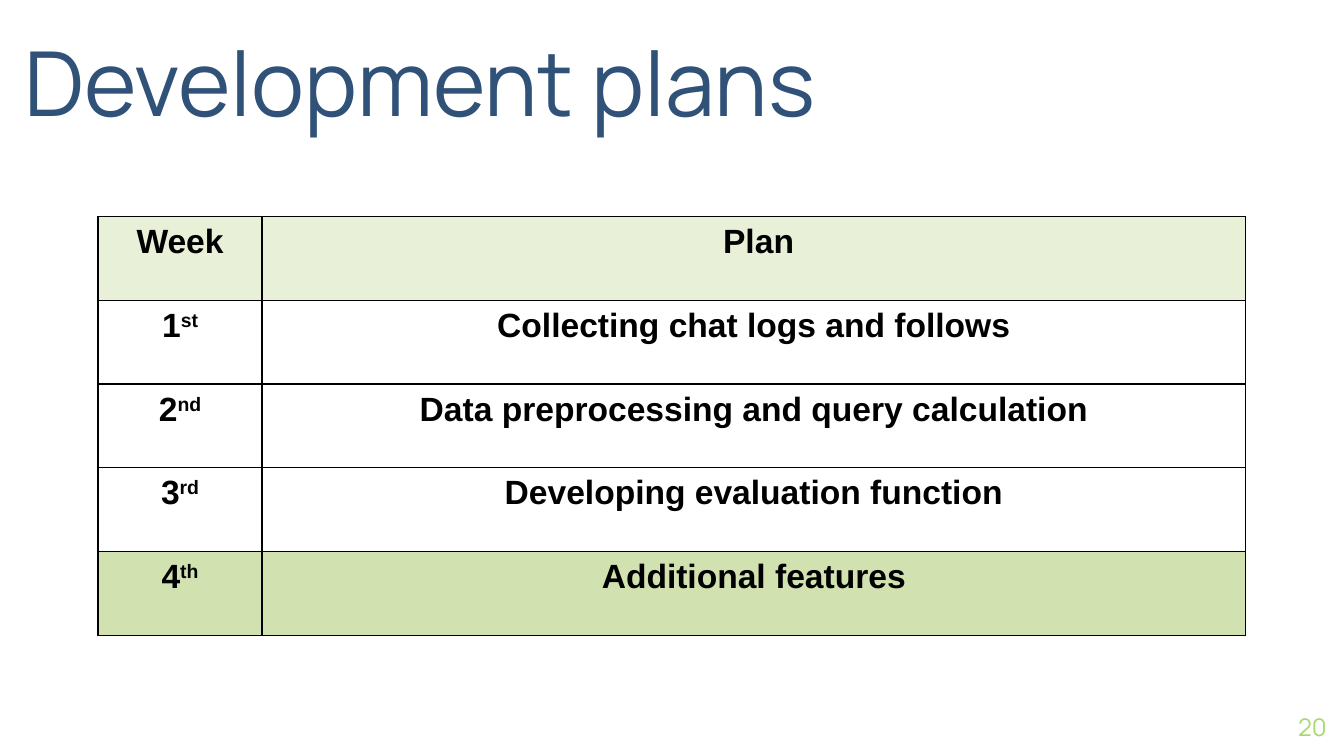
from lxml.etree import SubElement
from pptx import Presentation
from pptx.dml.color import RGBColor
from pptx.enum.text import MSO_ANCHOR as Anchor, PP_ALIGN as Align
from pptx.oxml.ns import qn
from pptx.util import Inches, Pt

BLACK = RGBColor(0, 0, 0)
WHITE = RGBColor(0xFF, 0xFF, 0xFF)
NAVY = RGBColor(0x30, 0x51, 0x78)
LIME = RGBColor(0xA7, 0xD8, 0x6D)
PALE_GREEN = RGBColor(0xE8, 0xF0, 0xD8)
SOFT_GREEN = RGBColor(0xD2, 0xE1, 0xB0)

PLANS = [
    ("Week", "", " Plan", PALE_GREEN),
    ("1", "st", "Collecting chat logs and follows", WHITE),
    ("2", "nd", "Data preprocessing and query calculation", WHITE),
    ("3", "rd", "Developing evaluation function", WHITE),
    ("4", "th", "Additional features", SOFT_GREEN),
]


def style_para(para, name, size, color, align, bold=False):
    """Set the alignment and font of a paragraph."""
    para.alignment = align
    para.font.name = name
    para.font.size = Pt(size)
    para.font.color.rgb = color
    para.font.bold = bold


def add_label(page, box, text, size, color, align, anchor):
    """Add a one-line text box without margins."""
    frame = page.shapes.add_textbox(*map(Inches, box)).text_frame
    frame.word_wrap = True
    frame.vertical_anchor = anchor
    frame.margin_left = frame.margin_right = 0
    frame.margin_top = frame.margin_bottom = 0
    para = frame.paragraphs[0]
    para.add_run().text = text
    style_para(para, "Manrope", size, color, align)


def add_borders(cell):
    """Draw a thin black line on each side of a cell."""
    props = cell._tc.get_or_add_tcPr()
    for index, side in enumerate(("lnL", "lnR", "lnT", "lnB")):
        line = props.makeelement(qn(f"a:{side}"), {"w": str(Pt(0.75))})
        fill = SubElement(line, qn("a:solidFill"))
        SubElement(fill, qn("a:srgbClr"), val=str(BLACK))
        props.insert(index, line)


def fill_cell(cell, text, suffix, color):
    """Write bold centred text with an optional raised suffix."""
    cell.fill.solid()
    cell.fill.fore_color.rgb = color
    add_borders(cell)
    para = cell.text_frame.paragraphs[0]
    para.add_run().text = text
    if suffix:
        span = para.add_run()
        span.text = suffix
        span._r.get_or_add_rPr().set("baseline", "30000")
    style_para(para, "Arial", 18, BLACK, Align.CENTER, bold=True)


def add_plan_table(page, box):
    """Add the table of weeks and plans."""
    left, top, width, height = map(Inches, box)
    table = page.shapes.add_table(len(PLANS), 2, left, top, width, height).table
    week_width = Inches(1.22)
    table.columns[0].width = week_width
    table.columns[1].width = width - week_width
    for row, (week, suffix, plan, color) in enumerate(PLANS):
        fill_cell(table.cell(row, 0), week, suffix, color)
        fill_cell(table.cell(row, 1), plan, "", color)


def main():
    """Build the slide and save the deck."""
    deck = Presentation()
    deck.slide_width = Inches(10)
    deck.slide_height = deck.slide_width * 9 // 16
    page = deck.slides.add_slide(deck.slide_layouts[6])
    add_label(page, (9.27, 5.19, 0.6, 0.43), "20", 13, LIME, Align.RIGHT, Anchor.MIDDLE)
    add_label(page, (0.18, 0.06, 6.89, 0.94), "Development plans", 48, NAVY, Align.LEFT, Anchor.BOTTOM)
    add_plan_table(page, (0.73, 1.61, 8.54, 3.12))
    deck.save("out.pptx")


if __name__ == "__main__":
    main()
